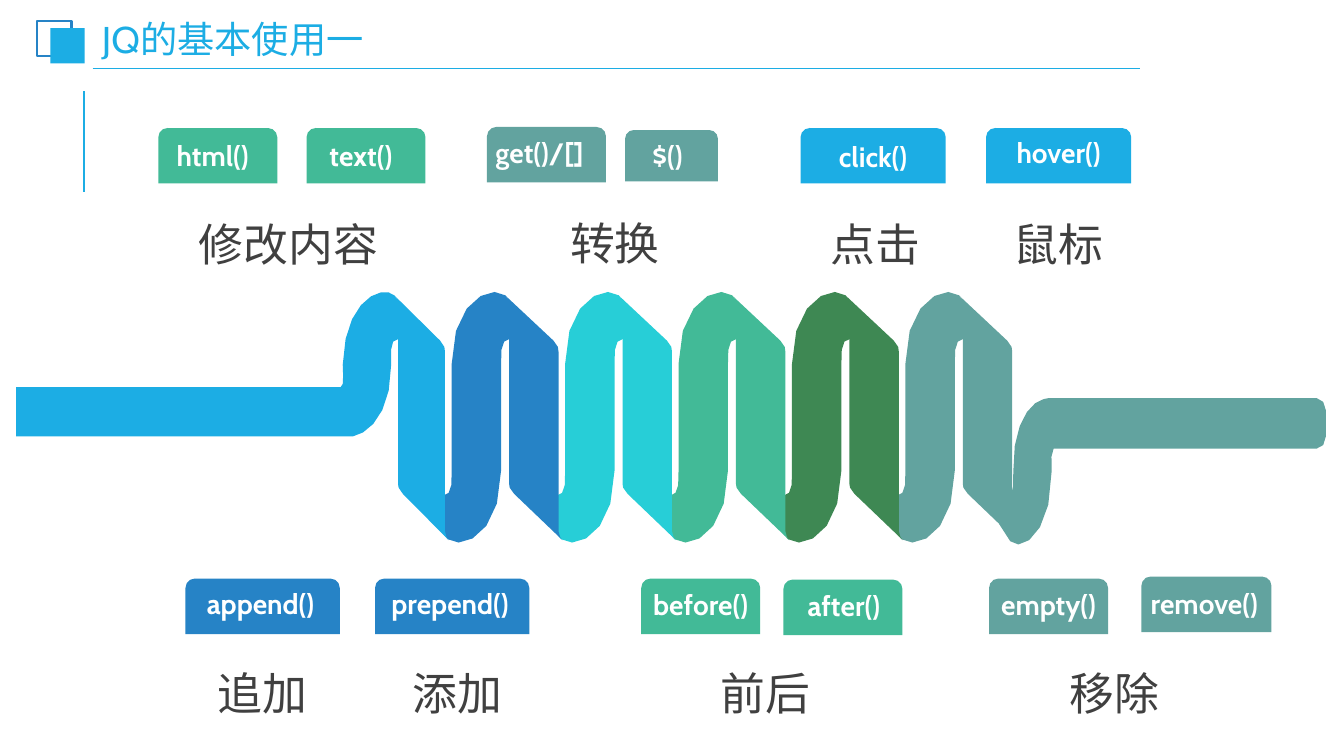
from lxml import etree
from pptx import Presentation
from pptx.dml.color import RGBColor
from pptx.enum.shapes import MSO_CONNECTOR, MSO_SHAPE
from pptx.enum.text import MSO_ANCHOR, PP_ALIGN
from pptx.oxml.ns import qn
from pptx.util import Inches, Pt

FONT = "Cabin"
SKY, BLUE, CYAN = "1CADE4", "2683C6", "27CED7"
MINT, GREEN, TEAL = "42BA97", "3E8853", "62A39F"
WHITE, GREY = "FFFFFF", "404040"

TITLE = "JQ的基本使用一"
# text, left, top, width, height, colour, text offset from the tab (x, y)
TABS = [
    ("html()", 1.57, 1.27, 1.18, 0.55, MINT, -0.05, 0.05),
    ("text()", 3.04, 1.27, 1.18, 0.55, MINT, -0.05, 0.05),
    ("get()/[]", 4.83, 1.26, 1.18, 0.55, TEAL, -0.07, 0.03),
    ("$()", 6.20, 1.29, 0.92, 0.51, TEAL, -0.04, 0.03),
    ("click()", 7.94, 1.27, 1.44, 0.55, SKY, 0, 0.06),
    ("hover()", 9.78, 1.27, 1.44, 0.55, SKY, 0, 0.02),
    ("append()", 1.84, 5.74, 1.53, 0.55, BLUE, -0.02, 0.03),
    ("prepend()", 3.72, 5.74, 1.53, 0.55, BLUE, -0.02, 0.03),
    ("before()", 6.36, 5.74, 1.18, 0.55, MINT, 0, 0.04),
    ("after()", 7.77, 5.75, 1.18, 0.55, MINT, 0.01, 0.04),
    ("empty()", 9.81, 5.74, 1.18, 0.55, TEAL, 0, 0.04),
    ("remove()", 11.32, 5.72, 1.29, 0.55, TEAL, -0.02, 0.05),
]
# text, left, top
CAPTIONS = [
    ("修改内容", 1.55, 1.94), ("转换", 4.79, 1.93),
    ("点击", 7.37, 1.94), ("鼠标", 9.19, 1.94),
    ("追加", 1.29, 6.39), ("添加", 3.23, 6.39),
    ("前后", 6.28, 6.39), ("移除", 9.74, 6.39),
]
CAPTION_W, CAPTION_H = 2.62, 0.75
TAB_TEXT_H, TAB_MARGIN = 0.44, 0.03
COIL_COLORS = [BLUE, CYAN, MINT, GREEN, TEAL]
COIL_LEFT, COIL_PITCH, BAR_SHIFT = 4.48, 1.125, 0.53

# Outlines: two numbers are a point, six are a Bézier curve
COIL = [
    (0.49, 4.67), (0.49, 3.62),
    (0.49, 3.5, 0.49, 3.42, 0.52, 3.39), (0.61, 3.3, 0.7, 3.35, 0.72, 3.28),
    (0.75, 3.19, 0.61, 3, 0.53, 2.93), (0.4, 2.82, 0, 2.97, 0, 3.61),
    (0, 4.67),
    (0, 4.79, 0, 4.86, -0.03, 4.89), (-0.12, 4.98, -0.21, 4.94, -0.23, 5),
    (-0.26, 5.09, -0.12, 5.28, -0.04, 5.35), (0.1, 5.46, 0.49, 5.31, 0.49, 4.67),
]
BAR = [
    (0.53, 5.27), (0.53, 3.49), (0.53, 3.47, 0.53, 3.42, 0.48, 3.38),
    (0, 2.93), (0.01, 2.93, 0.04, 2.97, 0.04, 3.02), (0.04, 4.8),
    (0.04, 4.81, 0.04, 4.86, 0.09, 4.9), (0.57, 5.36),
    (0.56, 5.35, 0.53, 5.32, 0.53, 5.27),
]
HEAD = [
    (3.78, 2.9), (3.83, 2.89, 3.88, 2.9, 3.91, 2.93),
    (3.99, 3, 4.12, 3.19, 4.1, 3.28), (4.08, 3.35, 3.99, 3.3, 3.9, 3.39),
    (3.87, 3.42, 3.88, 3.5, 3.88, 3.62), (3.88, 4.1, 3.66, 4.3, 3.5, 4.33),
    (0.16, 4.33), (0.16, 3.84), (3.38, 3.84), (3.4, 3.81),
    (3.41, 3.77, 3.4, 3.7, 3.4, 3.62), (3.41, 3.14, 3.62, 2.93, 3.78, 2.9),
]
TAIL = [
    (10.4, 3.95), (13.06, 3.95), (13.11, 3.95, 13.15, 4.01, 13.15, 4.07),
    (13.15, 4.33), (13.15, 4.4, 13.11, 4.45, 13.06, 4.45), (10.45, 4.45),
    (10.42, 4.48, 10.43, 4.56, 10.43, 4.68),
    (10.43, 5.32, 10.12, 5.48, 10.02, 5.37),
    (9.95, 5.3, 9.85, 5.11, 9.87, 5.01), (9.88, 4.95, 9.96, 4.99, 10.03, 4.9),
    (10.05, 4.88, 10.05, 4.8, 10.05, 4.68),
    (10.04, 4.2, 10.22, 3.99, 10.35, 3.96), (10.4, 3.95),
]


def rgb(color):
    return RGBColor.from_string(color)


def paint(sp, fill=None, line=None):
    sp.shadow.inherit = False
    if fill:
        sp.fill.solid()
        sp.fill.fore_color.rgb = rgb(fill)
    else:
        sp.fill.background()
    if line:
        sp.line.color.rgb = rgb(line)
        sp.line.width = Pt(1.5)
    else:
        sp.line.fill.background()


def add_preset(s, kind, box, fill=None, line=None):
    sp = s.shapes.add_shape(kind, *map(Inches, box))
    paint(sp, fill, line)
    return sp


def add_rule(s, x1, y1, x2, y2, width):
    line = s.shapes.add_connector(MSO_CONNECTOR.STRAIGHT, *map(Inches, (x1, y1, x2, y2)))
    line.line.color.rgb = rgb(SKY)
    line.line.width = Pt(width)
    etree.SubElement(line._element.spPr, qn("a:effectLst"))


def flatten(outline):
    """Turn points and Bézier curves into points, more on long curves."""
    points = []
    for part in outline:
        if len(part) == 2:
            points.append(part)
            continue
        x0, y0 = points[-1]
        x1, y1, x2, y2, x3, y3 = part
        steps = 5 if abs(y3 - y0) > 0.4 else 2
        for i in range(1, steps + 1):
            t = i / steps
            u = 1 - t
            a, b, c, d = u**3, 3 * u * u * t, 3 * u * t * t, t**3
            points.append((a * x0 + b * x1 + c * x2 + d * x3,
                           a * y0 + b * y1 + c * y2 + d * y3))
    return points


def add_outline(s, outline, color, left=0, stretch=1):
    points = [(Inches(left + x * stretch), Inches(y)) for x, y in flatten(outline)]
    builder = s.shapes.build_freeform(*points[0])
    builder.add_line_segments(points[1:], close=True)
    paint(builder.convert_to_shape(), color)


def write(sp, text, size, color, align, bold=False, spacing=None):
    tf = sp.text_frame
    tf.word_wrap = True
    p = tf.paragraphs[0]
    p.text = text
    p.alignment = align
    p.line_spacing = spacing
    p.font.name, p.font.size, p.font.bold = FONT, Pt(size), bold
    p.font.color.rgb = rgb(color)


def set_margins(tf, left, top, right, bottom):
    tf.vertical_anchor = MSO_ANCHOR.MIDDLE
    tf.margin_left, tf.margin_top = Inches(left), Inches(top)
    tf.margin_right, tf.margin_bottom = Inches(right), Inches(bottom)


def add_title(s):
    add_rule(s, 0.83, 1.9, 0.83, 0.9, 1.5)
    add_rule(s, 0.92, 0.68, 11.31, 0.68, 1.25)
    add_preset(s, MSO_SHAPE.RECTANGLE, (0.37, 0.21, 0.34, 0.35), line=BLUE)
    add_preset(s, MSO_SHAPE.RECTANGLE, (0.5, 0.28, 0.34, 0.35), fill=SKY)
    title = s.shapes.title
    title.left, title.top, title.width, title.height = map(Inches, (0.94, 0.23, 3.93, 0.37))
    write(title, TITLE, 26.6, SKY, PP_ALIGN.LEFT, spacing=0.9)
    set_margins(title.text_frame, 0.07, 0.04, 0.07, 0.04)


def add_spring(s):
    add_outline(s, TAIL, TEAL)
    for i, color in reversed(list(enumerate(COIL_COLORS))):
        left = COIL_LEFT + i * COIL_PITCH
        add_outline(s, COIL, color, left)
        add_outline(s, BAR, color, left + BAR_SHIFT)
    add_outline(s, HEAD, SKY)
    add_outline(s, BAR, SKY, 3.91, stretch=0.95)


def add_tab(s, text, x, y, w, h, color, dx, dy):
    tab = add_preset(s, MSO_SHAPE.ROUND_2_SAME_RECTANGLE, (x, y, w, h), fill=color)
    write(tab, text, 20, WHITE, PP_ALIGN.CENTER, bold=True)
    bottom = h - TAB_TEXT_H - 2 * dy + TAB_MARGIN
    set_margins(tab.text_frame, TAB_MARGIN, 0, TAB_MARGIN - 2 * dx, bottom)


def main():
    prs = Presentation()
    prs.slide_width, prs.slide_height = Inches(13.33), Inches(7.5)
    s = prs.slides.add_slide(prs.slide_layouts[5])
    add_title(s)
    add_spring(s)
    for tab in TABS:
        add_tab(s, *tab)
    for text, x, y in CAPTIONS:
        box = s.shapes.add_textbox(*map(Inches, (x, y, CAPTION_W, CAPTION_H)))
        write(box, text, 32, GREY, PP_ALIGN.CENTER, spacing=1.3)
    prs.save("out.pptx")


if __name__ == "__main__":
    main()
